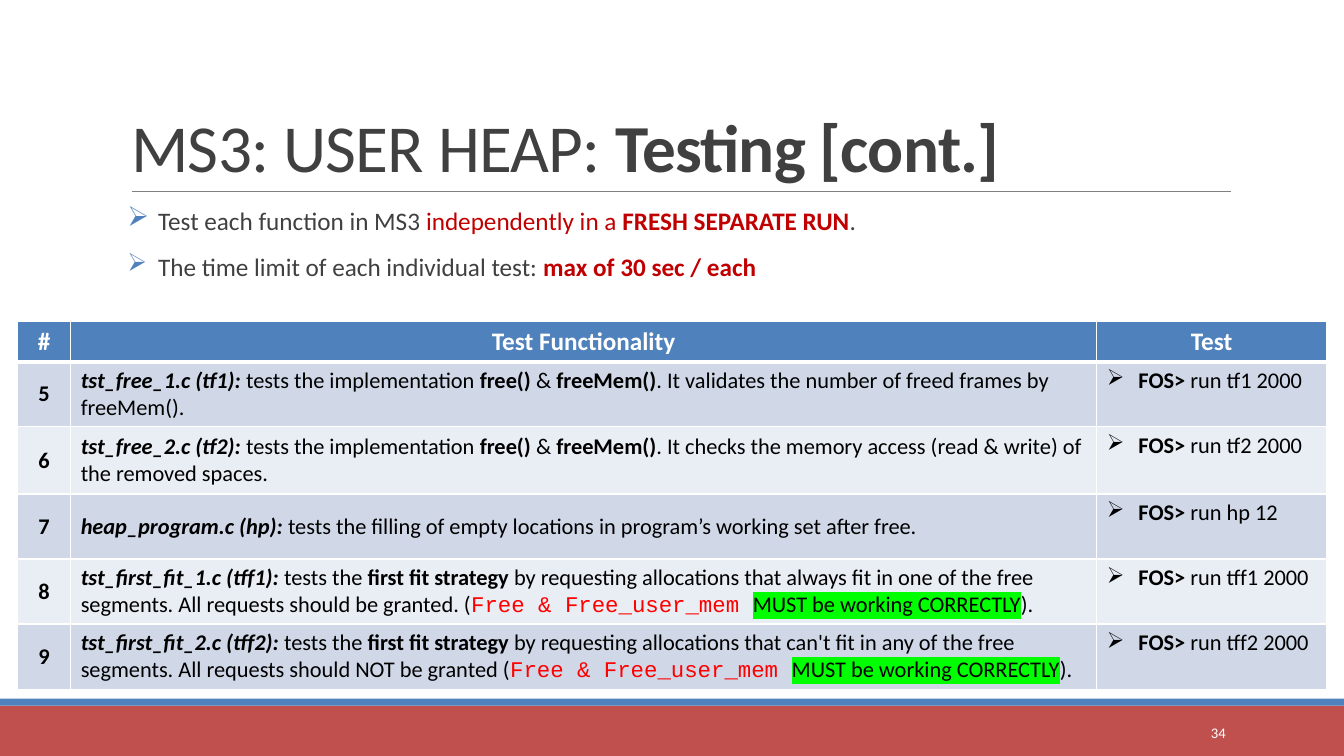
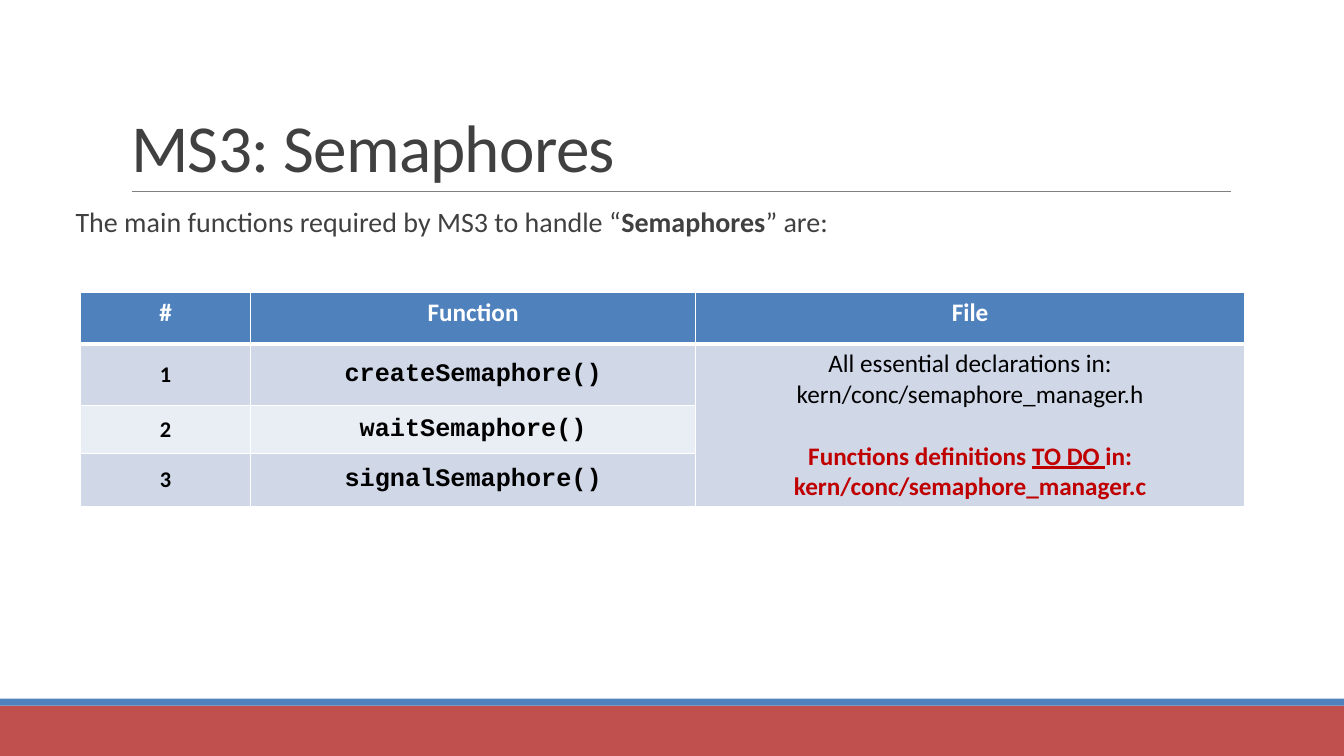
from dataclasses import dataclass

from lxml import etree
from pptx import Presentation
from pptx.dml.color import RGBColor
from pptx.enum.shapes import MSO_CONNECTOR, MSO_SHAPE
from pptx.enum.text import MSO_ANCHOR, MSO_AUTO_SIZE, PP_ALIGN
from pptx.oxml.ns import qn
from pptx.util import Pt

LEFT, CENTER, RIGHT = PP_ALIGN.LEFT, PP_ALIGN.CENTER, PP_ALIGN.RIGHT
TOP, MIDDLE, BOTTOM = MSO_ANCHOR.TOP, MSO_ANCHOR.MIDDLE, MSO_ANCHOR.BOTTOM
RECTANGLE, STRAIGHT = MSO_SHAPE.RECTANGLE, MSO_CONNECTOR.STRAIGHT
NO_FIT = MSO_AUTO_SIZE.NONE


@dataclass(frozen=True)
class Theme:
    blue: str = "4F81BD"
    red_band: str = "C0504D"
    rule: str = "808080"
    ink: str = "404040"
    black: str = "000000"
    white: str = "FFFFFF"
    accent: str = "C00000"
    code_red: str = "FF0000"
    marker: str = "00FF00"
    bands: tuple = ("D0D8E8", "E9EDF4")
    font: str = "Calibri"
    mono: str = "Courier New"
    title: float = 48
    lead: float = 20
    text: float = 18
    cell: float = 16
    number: float = 10.5


THEME = Theme()
WIDTH, HEIGHT = 960, 540
BULLET = "➢"

# Run styles: what differs from the surrounding text
STYLES = {
    "plain": {},
    "bold": {"bold": True},
    "name": {"bold": True, "italic": True},
    "red": {"color": THEME.accent},
    "alert": {"color": THEME.accent, "bold": True},
    "todo": {"color": THEME.accent, "bold": True, "underline": True},
    "code": {"color": THEME.code_red, "font": THEME.mono},
    "call": {"font": THEME.mono, "bold": True, "size": THEME.text},
    "mark": {"highlight": THEME.marker},
    "file": {"size": THEME.text},
    "file_alert": {"size": THEME.text, "color": THEME.accent, "bold": True},
    "file_todo": {"size": THEME.text, "color": THEME.accent, "bold": True,
                  "underline": True},
}

# Content of the testing slide
TESTING_TITLE = [("MS3: USER HEAP: ", "plain"), ("Testing [cont.]", "bold")]
TESTING_RULES = [
    [("Test each function in MS3 ", "plain"), ("independently in a ", "red"),
     ("FRESH SEPARATE RUN", "alert"), (".", "plain")],
    [("The time limit of each individual test: ", "plain"),
     ("max of 30 sec / each", "alert")],
]
FREE_TEST = [("tests the implementation ", "plain"), ("free() ", "bold"),
             ("& ", "plain"), ("freeMem()", "bold")]
FIRST_FIT = [("tests the ", "plain"), ("first fit strategy ", "bold")]
MUST_WORK = [("Free & Free_user_mem ", "code"),
             ("MUST be working CORRECTLY", "mark"), (").", "plain")]
TESTS = [
    ("5", "tst_free_1.c (tf1): ",
     FREE_TEST + [(". It validates the number of freed frames by freeMem().", "plain")],
     "run tf1 2000"),
    ("6", "tst_free_2.c (tf2): ",
     FREE_TEST + [(". It checks the memory access (read & write) of the removed "
                   "spaces.", "plain")],
     "run tf2 2000"),
    ("7", "heap_program.c (hp): ",
     [("tests the filling of empty locations in program’s working set after free.",
       "plain")],
     "run hp 12"),
    ("8", "tst_first_fit_1.c (tff1): ",
     FIRST_FIT + [("by requesting allocations that always fit in one of the free "
                   "segments. All requests should be granted. (", "plain")] + MUST_WORK,
     "run tff1 2000"),
    ("9", "tst_first_fit_2.c (tff2): ",
     FIRST_FIT + [("by requesting allocations that can't fit in any of the free "
                   "segments. All requests should NOT be granted (", "plain")] + MUST_WORK,
     "run tff2 2000"),
]
# Columns: heading, width, alignment, anchor, bulleted
TEST_COLUMNS = [("#", 38, CENTER, MIDDLE, False),
                ("Test Functionality", 733, LEFT, MIDDLE, False),
                ("Test", 164, LEFT, TOP, True)]
TEST_ROWS = [28, 46.5, 48, 46.5, 46.5, 46.5]

# Content of the semaphore slide
SEMAPHORE_TITLE = [("MS3: Semaphores", "plain")]
SEMAPHORE_LEAD = [("The main functions required by MS3 to handle “", "plain"),
                  ("Semaphores", "bold"), ("” are:", "plain")]
FUNCTIONS = ["createSemaphore()", "waitSemaphore()", "signalSemaphore()"]
FILES = [
    [("All essential declarations in: kern/conc/semaphore_manager.h", "file")],
    [("Functions definitions ", "file_alert"), ("TO DO ", "file_todo"),
     ("in: kern/conc/semaphore_manager.c", "file_alert")],
]
FUNCTION_COLUMNS = [("#", 121.5, CENTER, MIDDLE, False),
                    ("Function", 318, CENTER, MIDDLE, False),
                    ("File", 392, CENTER, MIDDLE, False)]
FUNCTION_ROWS = [36.5, 44, 34.5, 38]


def rgb(value):
    return RGBColor.from_string(value)


def add_colour(parent, tag, value):
    holder = etree.SubElement(parent, qn(tag))
    etree.SubElement(holder, qn("a:srgbClr")).set("val", value)
    return holder


def add_runs(para, runs, size, color, bold=False, tracking=None):
    for text, style_name in runs:
        style = STYLES[style_name]
        span = para.add_run()
        span.text = text
        font = span.font
        font.name = style.get("font", THEME.font)
        font.size = Pt(style.get("size", size))
        font.bold = style.get("bold", bold)
        font.italic = style.get("italic", False)
        font.underline = style.get("underline", False)
        font.color.rgb = rgb(style.get("color", color))
        props = span._r.get_or_add_rPr()
        if tracking:
            props.set("spc", str(int(tracking * 100)))
        if "highlight" in style:
            highlight = add_colour(props, "a:highlight", style["highlight"])
            props.find(qn("a:solidFill")).addnext(highlight)


def add_bullet(para, indent, color=None, percent=100):
    props = para._p.get_or_add_pPr()
    props.set("marL", str(Pt(indent)))
    props.set("indent", str(-Pt(indent)))
    if color:
        add_colour(props, "a:buClr", color)
    etree.SubElement(props, qn("a:buSzPct")).set("val", str(percent * 1000))
    etree.SubElement(props, qn("a:buChar")).set("char", BULLET)


def add_box(page, left, top, width, height):
    frame = page.shapes.add_textbox(Pt(left), Pt(top), Pt(width), Pt(height)).text_frame
    frame.word_wrap = True
    frame.margin_left = frame.margin_right = 0
    return frame


def add_frame(page, layout):
    """Put the bands and the title rule on the layout, for all pages."""
    parts = []
    for top, height, color in ((504, 36, THEME.red_band), (499, 5, THEME.blue)):
        band = page.shapes.add_shape(RECTANGLE, 0, Pt(top), Pt(WIDTH), Pt(height))
        band.shadow.inherit = False
        band.fill.solid()
        band.fill.fore_color.rgb = rgb(color)
        band.line.fill.background()
        parts.append(band)
    rule = page.shapes.add_connector(STRAIGHT, Pt(94.5), Pt(136.8), Pt(879), Pt(136.8))
    rule.line.color.rgb = rgb(THEME.rule)
    rule.line.width = Pt(0.5)
    etree.SubElement(rule.element.spPr, qn("a:effectLst"))
    for part in parts + [rule]:
        layout.shapes.element.append(part.element)


def add_page(deck, layout, title_runs):
    page = deck.slides.add_slide(layout)
    title = page.shapes.title
    title.left, title.top, title.width, title.height = Pt(86.5), Pt(22), Pt(792), Pt(114.5)
    frame = title.text_frame
    frame.word_wrap = True
    frame.auto_size = NO_FIT
    frame.vertical_anchor = BOTTOM
    para = frame.paragraphs[0]
    para.alignment = LEFT
    para.line_spacing = 0.85
    add_runs(para, title_runs, THEME.title, THEME.ink, tracking=-0.5)
    return page


def style_cell(cell, fill, bottom):
    cell.fill.solid()
    cell.fill.fore_color.rgb = rgb(fill)
    props = cell._tc.get_or_add_tcPr()
    sides = (("a:lnL", 1), ("a:lnR", 1), ("a:lnT", 1), ("a:lnB", bottom))
    for position, (tag, width) in enumerate(sides):
        border = add_colour(props, "a:solidFill", THEME.white)
        line = etree.Element(qn(tag), w=str(Pt(width)))
        line.append(border)
        props.insert(position, line)


def add_table(page, left, top, columns, heights, rows):
    """Rows hold cells; a cell is a list of paragraphs, a paragraph a list of runs."""
    widths = [column[1] for column in columns]
    table = page.shapes.add_table(len(heights), len(columns), Pt(left), Pt(top),
                                  Pt(sum(widths)), Pt(sum(heights))).table
    table.first_row = table.horz_banding = False
    for column, width in zip(table.columns, widths):
        column.width = Pt(width)
    for row, height in zip(table.rows, heights):
        row.height = Pt(height)
    headings = [[[(column[0], "bold")]] for column in columns]
    for r, cells in enumerate([headings] + rows):
        header = r == 0
        fill = THEME.blue if header else THEME.bands[(r - 1) % 2]
        size, color = (THEME.text, THEME.white) if header else (THEME.cell, THEME.black)
        for c, paragraphs in enumerate(cells):
            cell = table.cell(r, c)
            style_cell(cell, fill, 3 if header else 1)
            _, _, align, anchor, bulleted = columns[c]
            cell.vertical_anchor = TOP if header else anchor
            for p, runs in enumerate(paragraphs):
                frame = cell.text_frame
                para = frame.add_paragraph() if p else frame.paragraphs[0]
                para.alignment = CENTER if header else align
                if p:
                    para.space_before = Pt(22)
                if bulleted and not header:
                    add_bullet(para, 22.5)
                add_runs(para, runs, size, color)
    return table


def build_testing(page):
    # Page number
    frame = add_box(page, 780, 508.5, 95.5, 29)
    frame.vertical_anchor = MIDDLE
    frame.paragraphs[0].alignment = RIGHT
    add_runs(frame.paragraphs[0], [("34", "plain")], THEME.number, THEME.white)
    # Test table
    rows = [[[[(number, "bold")]], [[(name, "name")] + about],
             [[("FOS> ", "bold"), (command, "plain")]]]
            for number, name, about, command in TESTS]
    add_table(page, 12.5, 229.5, TEST_COLUMNS, TEST_ROWS, rows)
    # Rules above the table
    frame = add_box(page, 91, 143, 792, 72)
    for index, runs in enumerate(TESTING_RULES):
        para = frame.add_paragraph() if index else frame.paragraphs[0]
        para.space_before = Pt(9 if index else 0)
        para.space_after = Pt(2)
        add_bullet(para, 22, THEME.blue, 100 if index else 110)
        add_runs(para, runs, THEME.text, THEME.ink)


def build_semaphores(page):
    # Lead sentence
    para = add_box(page, 54, 145.5, 849, 36).paragraphs[0]
    para.line_spacing = 0.9
    add_runs(para, SEMAPHORE_LEAD, THEME.lead, THEME.ink)
    # Function table, with one file cell beside all functions
    rows = [[[[(str(number), "bold")]], [[(name, "call")]], FILES if number == 1 else []]
            for number, name in enumerate(FUNCTIONS, 1)]
    table = add_table(page, 57.5, 209, FUNCTION_COLUMNS, FUNCTION_ROWS, rows)
    table.cell(1, 2).merge(table.cell(len(FUNCTIONS), 2))


def main():
    deck = Presentation()
    deck.slide_width, deck.slide_height = Pt(WIDTH), Pt(HEIGHT)
    layout = deck.slide_layouts[5]
    testing = add_page(deck, layout, TESTING_TITLE)
    add_frame(testing, layout)
    build_testing(testing)
    build_semaphores(add_page(deck, layout, SEMAPHORE_TITLE))
    deck.save("out.pptx")


if __name__ == "__main__":
    main()
